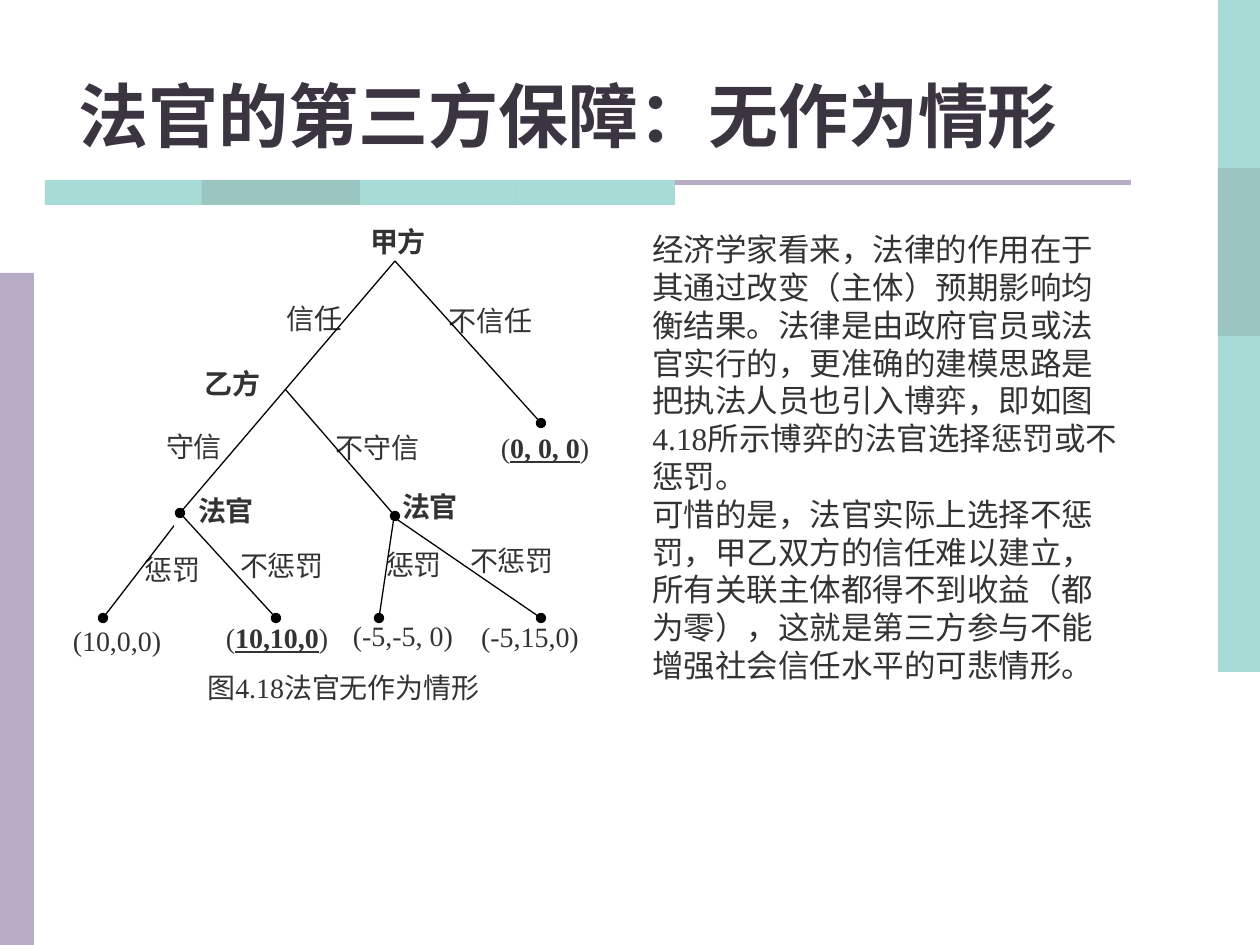
from itertools import pairwise

from lxml import etree
from pptx import Presentation
from pptx.dml.color import RGBColor
from pptx.enum.shapes import MSO_CONNECTOR, MSO_SHAPE
from pptx.enum.text import MSO_ANCHOR, MSO_AUTO_SIZE, PP_ALIGN
from pptx.oxml.ns import qn
from pptx.util import Emu, Pt

RECTANGLE = MSO_SHAPE.RECTANGLE
STRAIGHT = MSO_CONNECTOR.STRAIGHT
TOP, BOTTOM = MSO_ANCHOR.TOP, MSO_ANCHOR.BOTTOM
CENTER, LEFT = PP_ALIGN.CENTER, PP_ALIGN.LEFT
GROW = MSO_AUTO_SIZE.SHAPE_TO_FIT_TEXT

TEAL = RGBColor(0x51, 0xB9, 0xAF)
DARK_TEAL = RGBColor(0x39, 0x8D, 0x85)
LILAC = RGBColor(0xB8, 0xAC, 0xC6)
TITLE_INK = RGBColor(0x3A, 0x35, 0x41)
INK = RGBColor(0x33, 0x33, 0x33)
WHITE = RGBColor(0xFF, 0xFF, 0xFF)
BLACK = RGBColor(0x00, 0x00, 0x00)

SERIF, SANS = "Times New Roman", "Calibri"
SCALE = 914400 / 126  # EMU in one px

# Branch labels and player names: text, place, bold
NAMES = [
    ("不守信", (333, 431, 89, 54), False),
    ("不信任", (443, 304, 95, 48), False),
    ("乙方", (191, 367, 83, 43), True),
    ("守信", (143, 430, 102, 54), False),
    ("信任", (267, 302, 95, 48), False),
    ("甲方", (347, 224, 102, 43), True),
    ("不惩罚", (461, 544, 102, 54), False),
    ("惩罚", (363, 548, 102, 54), False),
    ("法官", (379, 490, 102, 43), True),
    ("不惩罚", (231, 549, 102, 54), False),
    ("惩罚", (122, 553, 102, 54), False),
]
LEFT_JUDGE = ("法官", (175, 494, 102, 43), True)

# Payoffs: inner text, place, underlined as an outcome
PAYOFFS = [
    ("0, 0, 0", (490, 431, 110, 38), True),
    ("-5,15,0", (475, 620, 110, 44), False),
    ("10,0,0", (62, 624, 110, 48), False),
    ("-5,-5, 0", (348, 619, 110, 48), False),
    ("10,10,0", (222, 621, 110, 48), True),
]

# Branches end in a dot
LEFT_PUNISH = ((180, 518), (103, 618))
BRANCHES = [
    ((395, 261), (541, 423)),
    ((394, 517), (379, 618)),
    ((395, 518), (541, 618)),
    ((285, 389), (395, 516)),
    ((180, 513), (276, 618)),
    ((395, 261), (180, 513)),
]

BODY = [
    "经济学家看来，法律的作用在于其通过改变（主体）预期影响均衡结果。"
    "法律是由政府官员或法官实行的，更准确的建模思路是把执法人员也引入博弈，"
    "即如图4.18所示博弈的法官选择惩罚或不惩罚。",
    "可惜的是，法官实际上选择不惩罚，甲乙双方的信任难以建立，"
    "所有关联主体都得不到收益（都为零），"
    "这就是第三方参与不能增强社会信任水平的可悲情形。",
]


def px(*lengths):
    return [Emu(round(length * SCALE)) for length in lengths]


def add_block(page, place, color, alpha=None):
    block = page.shapes.add_shape(RECTANGLE, *px(*place))
    block.shadow.inherit = False
    block.fill.solid()
    block.fill.fore_color.rgb = color
    block.line.fill.background()
    if alpha:
        tint = block.fill._xPr.find(qn("a:solidFill"))[0]
        etree.SubElement(tint, qn("a:alpha"), val=str(alpha * 1000))
    return block


def add_span(para, text, size, font, color=INK, bold=False, underline=False):
    span = para.add_run()
    span.text = text
    span.font.size = Pt(size)
    span.font.name = font
    span.font.color.rgb = color
    span.font.bold = bold
    span.font.underline = underline


def add_text(page, place, paragraphs, size, color=INK, bold=False,
             align=LEFT, anchor=TOP):
    box = page.shapes.add_textbox(*px(*place))
    frame = box.text_frame
    frame.word_wrap = True
    frame.vertical_anchor = anchor
    if anchor == TOP:
        frame.auto_size = GROW
    for index, text in enumerate(paragraphs):
        para = frame.add_paragraph() if index else frame.paragraphs[0]
        para.alignment = align
        add_span(para, text, size, SERIF, color, bold)


def add_label(page, place):
    """White box without insets; returns its paragraph."""
    label = add_block(page, place, WHITE)
    label.line.color.rgb = WHITE
    label.line.width = Pt(0.75)
    frame = label.text_frame
    frame.word_wrap = True
    frame.vertical_anchor = TOP
    frame.margin_left = frame.margin_right = 0
    frame.margin_top = frame.margin_bottom = 0
    para = frame.paragraphs[0]
    para.alignment = CENTER
    return para


def add_name(page, text, place, bold):
    add_span(add_label(page, place), text, 16, SANS, bold=bold)


def add_payoff(page, text, place, outcome):
    para = add_label(page, place)
    if not outcome:
        add_span(para, f"({text})", 16, SERIF)
        return
    add_span(para, "(", 16, SERIF)
    add_span(para, text, 16, SERIF, bold=True, underline=True)
    add_span(para, ")", 16, SERIF)


def add_branch(page, start, end):
    branch = page.shapes.add_connector(STRAIGHT, *px(*start, *end))
    branch.line.color.rgb = BLACK
    branch.line.width = Pt(0.75)
    etree.SubElement(branch.line._get_or_add_ln(), qn("a:tailEnd"), type="oval")
    etree.SubElement(branch._element.spPr, qn("a:effectLst"))


def add_decoration(page):
    shades = [TEAL, DARK_TEAL, TEAL, TEAL]
    for row, shade in enumerate(shades):
        add_block(page, (1218, 168 * row, 42, 168), shade, 50)
    add_block(page, (0, 273, 34, 672), LILAC)
    edges = [45 + 630 * step // 4 for step in range(5)]
    for shade, (left, right) in zip(shades, pairwise(edges)):
        add_block(page, (left, 180, right - left, 25), shade, 50)
    add_block(page, (675, 180, 456, 5), LILAC)


def add_game_tree(page):
    for payoff in PAYOFFS:
        add_payoff(page, *payoff)
    for name in NAMES:
        add_name(page, *name)
    # The left judge's box hides the start of one branch
    add_branch(page, *LEFT_PUNISH)
    add_name(page, *LEFT_JUDGE)
    for branch in BRANCHES:
        add_branch(page, *branch)


def main():
    deck = Presentation()
    deck.slide_width, deck.slide_height = px(1260, 945)
    page = deck.slides.add_slide(deck.slide_layouts[6])
    add_decoration(page)
    add_text(page, (0, 55, 1137, 108), ["法官的第三方保障：无作为情形"], 40,
             TITLE_INK, bold=True, align=CENTER, anchor=BOTTOM)
    add_text(page, (186, 664, 315, 47), ["图4.18法官无作为情形"], 16, align=CENTER)
    add_game_tree(page)
    add_text(page, (640, 224, 496, 466), BODY, 18)
    deck.save("out.pptx")


if __name__ == "__main__":
    main()
